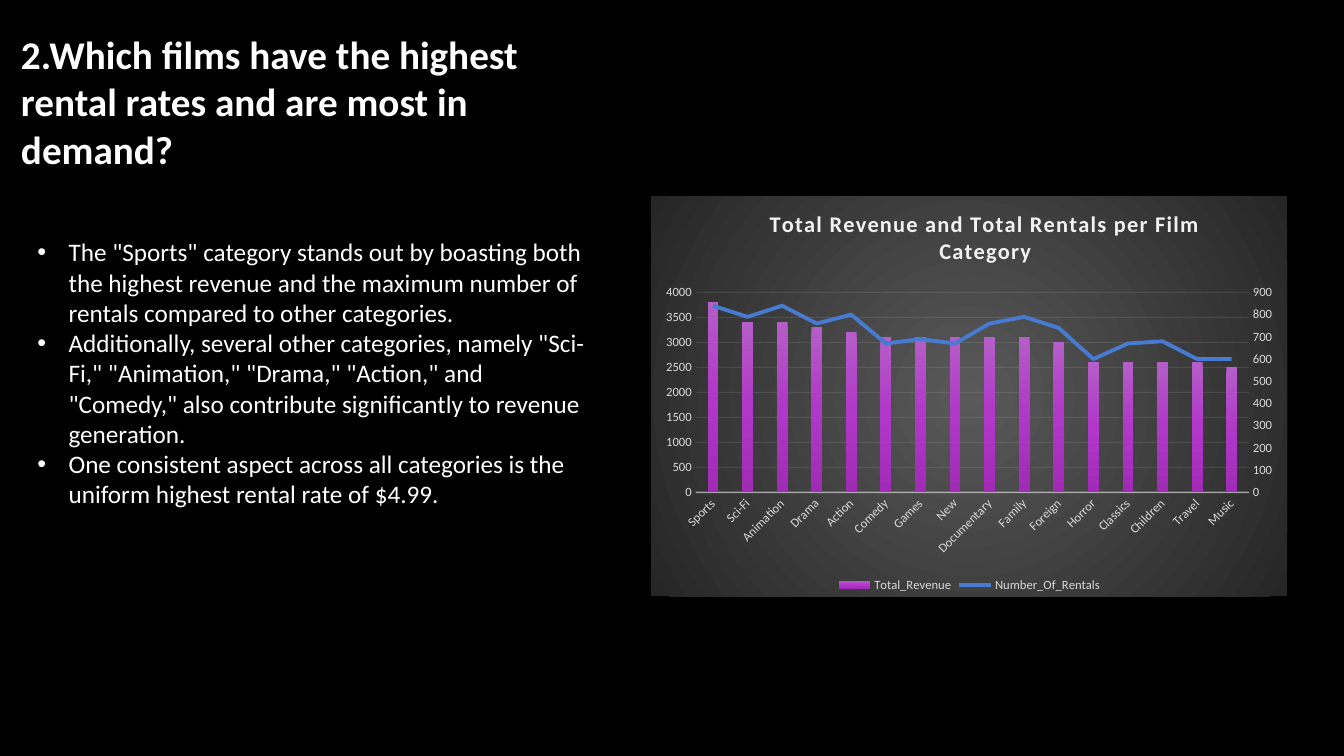
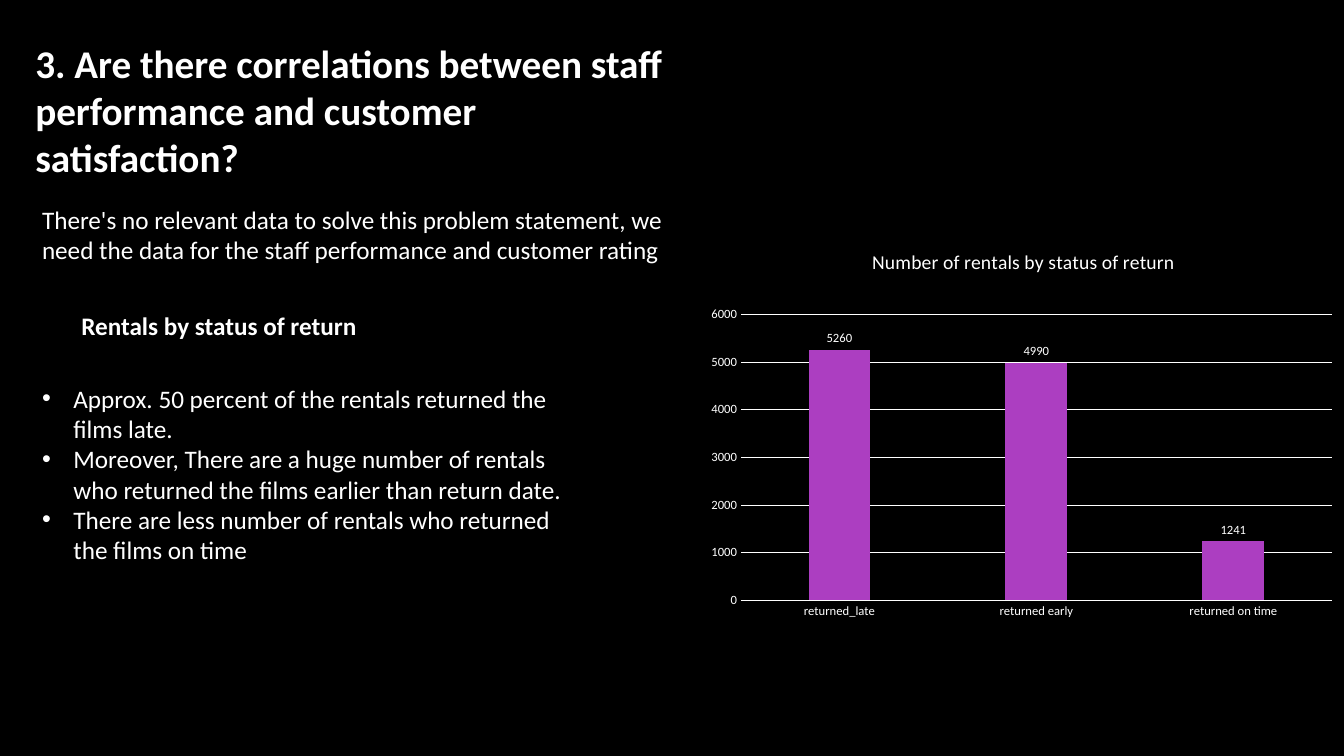
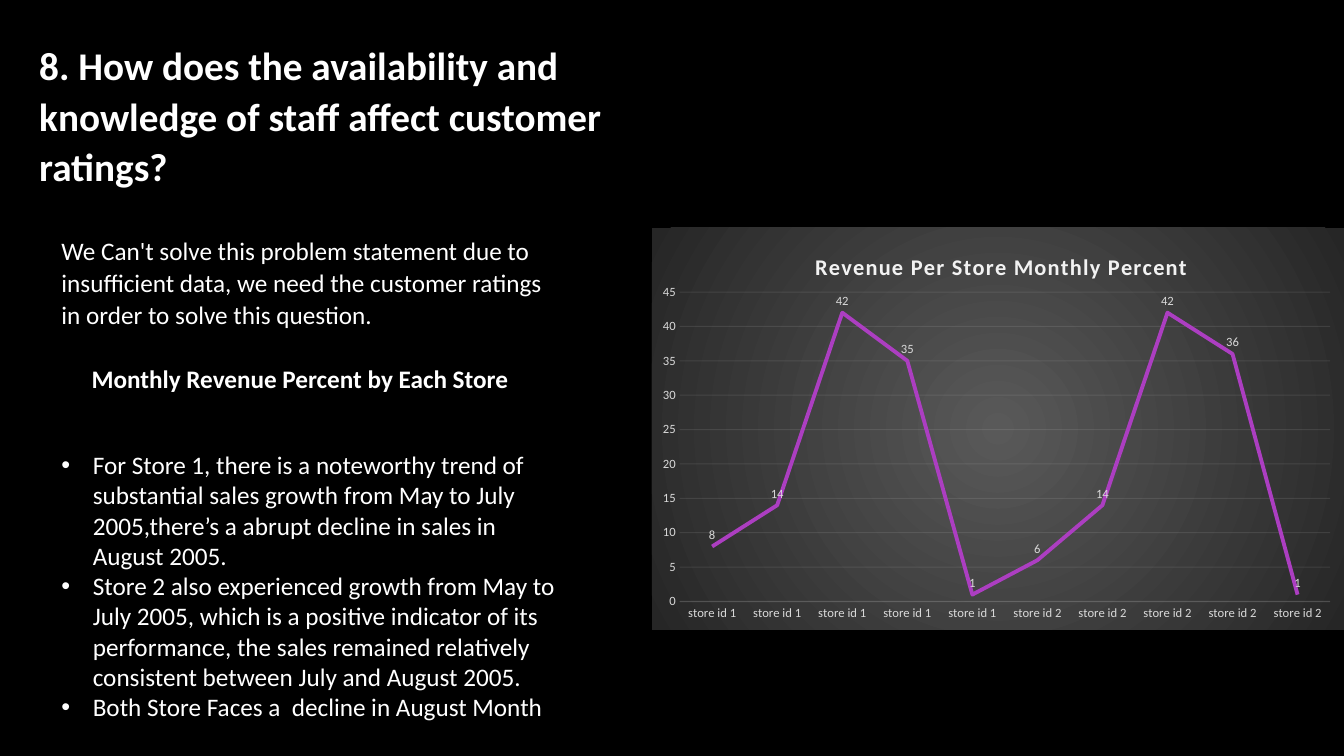
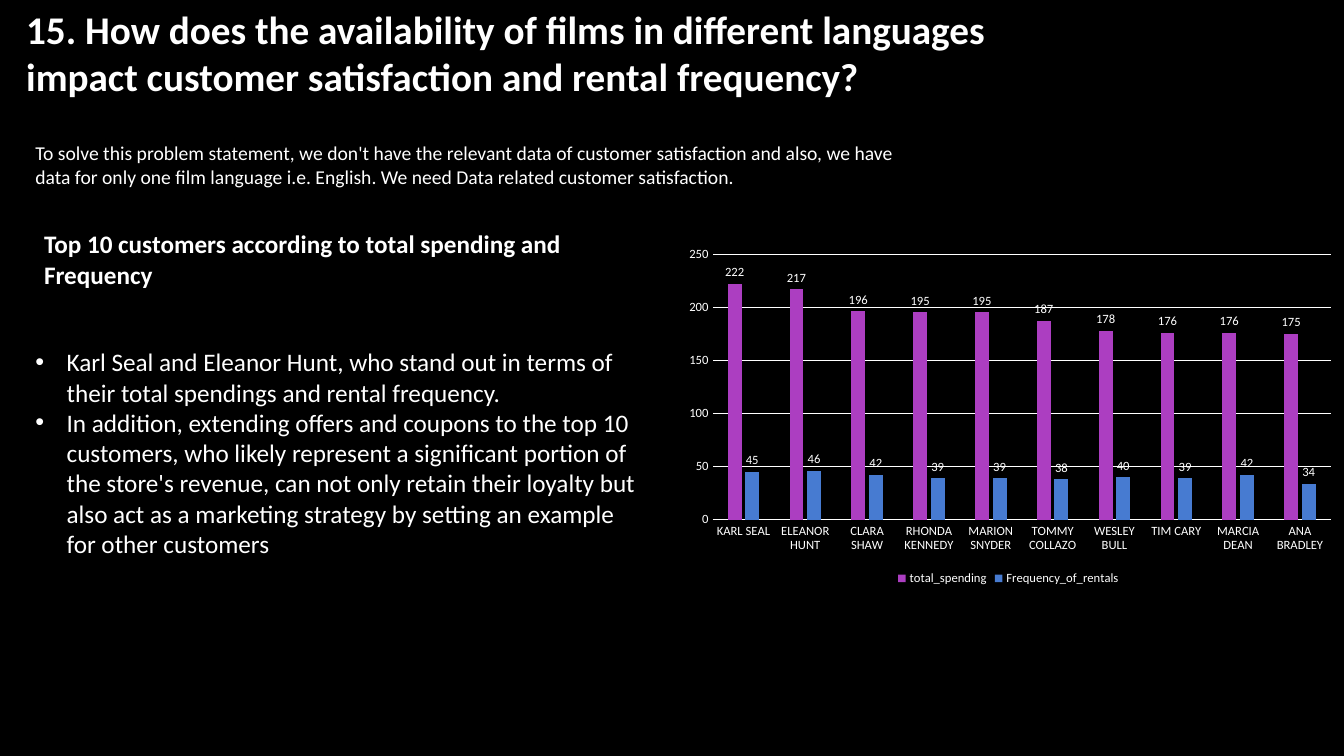
from copy import deepcopy
from dataclasses import dataclass

from lxml import etree
from pptx import Presentation
from pptx.chart.axis import CategoryAxis, ValueAxis
from pptx.chart.chart import Chart
from pptx.chart.data import CategoryChartData
from pptx.dml.color import RGBColor
from pptx.enum.chart import XL_CHART_TYPE, XL_LABEL_POSITION, XL_LEGEND_POSITION, XL_MARKER_STYLE, XL_TICK_MARK
from pptx.enum.text import MSO_AUTO_SIZE, PP_ALIGN
from pptx.oxml import parse_xml
from pptx.oxml.ns import nsdecls, qn
from pptx.slide import Slide
from pptx.util import Cm, Pt

FONT = "Calibri"
BLACK = "000000"
WHITE = "FFFFFF"
SOFT_WHITE = "F2F2F2"
PALE_GRAY = "D9D9D9"
PURPLE = "AC3EC1"
BLUE = "477BD1"
PURPLE_SHADES = [(0, "B55DC8"), (50, "B037C8"), (100, "A12BB7")]
GLOW_SHADES = [(0, "595959"), (100, "262626")]
LINEAR = '<a:lin ang="5400000" scaled="0"/>'
RADIAL = '<a:path path="circle"><a:fillToRect l="50000" t="50000" r="50000" b="50000"/></a:path>'


@dataclass(frozen=True)
class Frame:
    left: float
    top: float
    width: float
    height: float

    def lengths(self) -> tuple[Cm, Cm, Cm, Cm]:
        return Cm(self.left), Cm(self.top), Cm(self.width), Cm(self.height)


@dataclass(frozen=True)
class TextBlock:
    frame: Frame
    paragraphs: tuple[str, ...]
    size: int = 18
    bold: bool = False
    bulleted: bool = False
    centered: bool = False
    loose: bool = False


@dataclass(frozen=True)
class ChartBlock:
    frame: Frame
    plot: Frame
    categories: tuple[str, ...]
    series: dict[str, tuple[int, ...]]
    kind: XL_CHART_TYPE = XL_CHART_TYPE.COLUMN_CLUSTERED
    title: str = ""
    title_place: tuple[float, float] = (0, 0)
    glowing: bool = False
    labelled: bool = True
    slanted: bool = False
    legend: bool = False
    combined: bool = False
    axis_line: tuple[float, int] = (0.75, 100)


@dataclass(frozen=True)
class Page:
    texts: tuple[TextBlock, ...]
    chart: ChartBlock


def heading(frame: Frame, text: str, loose: bool = False) -> TextBlock:
    return TextBlock(frame, (text,), size=28, bold=True, loose=loose)


def color(value: str) -> RGBColor:
    return RGBColor.from_string(value)


def style_font(font, size: float, value: str, bold: bool = False) -> None:
    font.name = FONT
    font.size = Pt(size)
    font.bold = bold
    font.color.rgb = color(value)


def style_line(line, value: str, width: float, opacity: int = 100) -> None:
    line.color.rgb = color(value)
    line.width = Pt(width)
    if opacity < 100:
        shade = line.fill._xPr.find(".//" + qn("a:srgbClr"))
        etree.SubElement(shade, qn("a:alpha")).set("val", str(opacity * 1000))


def remove_children(parent, tag: str) -> None:
    for child in parent.findall(qn(tag)):
        parent.remove(child)


def gradient_properties(shades: list[tuple[int, str]], direction: str):
    stops = "".join(
        f'<a:gs pos="{place * 1000}"><a:srgbClr val="{value}"/></a:gs>' for place, value in shades
    )
    return parse_xml(
        f'<c:spPr {nsdecls("c", "a")}><a:gradFill rotWithShape="1"><a:gsLst>{stops}</a:gsLst>'
        f"{direction}</a:gradFill><a:ln><a:noFill/></a:ln></c:spPr>"
    )


def add_bullet(paragraph) -> None:
    properties = paragraph._p.get_or_add_pPr()
    properties.set("marL", str(Cm(0.79)))
    properties.set("indent", str(-Cm(0.79)))
    etree.SubElement(properties, qn("a:buFont")).set("typeface", "Arial")
    etree.SubElement(properties, qn("a:buChar")).set("char", "•")


def add_text(page: Slide, block: TextBlock) -> None:
    box = page.shapes.add_textbox(*block.frame.lengths())
    text_frame = box.text_frame
    text_frame.word_wrap = True
    text_frame.auto_size = MSO_AUTO_SIZE.SHAPE_TO_FIT_TEXT
    for index, text in enumerate(block.paragraphs):
        paragraph = text_frame.add_paragraph() if index else text_frame.paragraphs[0]
        paragraph.text = text
        if block.bulleted:
            add_bullet(paragraph)
        if block.centered:
            paragraph.alignment = PP_ALIGN.CENTER
        if block.loose:
            paragraph.line_spacing = 1.07
            paragraph.space_after = Pt(8)
        style_font(paragraph.font, block.size, WHITE, block.bold)


def manual_layout(left: float, top: float, size: tuple[float, ...] = ()):
    target = '<c:layoutTarget val="inner"/>' if size else ""
    extent = "".join(f'<c:{name} val="{value}"/>' for name, value in zip("wh", size))
    return parse_xml(
        f'<c:layout {nsdecls("c")}><c:manualLayout>{target}<c:xMode val="edge"/><c:yMode val="edge"/>'
        f'<c:x val="{left}"/><c:y val="{top}"/>{extent}</c:manualLayout></c:layout>'
    )


def place_plot(chart: Chart, plot: Frame) -> None:
    area = chart._chartSpace.chart.plotArea
    remove_children(area, "c:layout")
    area.insert(0, manual_layout(plot.left, plot.top, (plot.width, plot.height)))


def add_title(chart: Chart, block: ChartBlock) -> None:
    chart.has_title = bool(block.title)
    if not block.title:
        return
    title = chart.chart_title
    paragraph = title.text_frame.paragraphs[0]
    span = paragraph.add_run()
    span.text = block.title
    style_font(span.font, 16 if block.glowing else 14, SOFT_WHITE if block.glowing else WHITE, block.glowing)
    if block.glowing:
        span._r.get_or_add_rPr().set("spc", "100")
    remove_children(title._element, "c:layout")
    title._element.find(qn("c:tx")).addnext(manual_layout(*block.title_place))


def style_axis(axis: CategoryAxis | ValueAxis, ink: str, angle: int = 0) -> None:
    axis.major_tick_mark = axis.minor_tick_mark = XL_TICK_MARK.NONE
    style_font(axis.tick_labels.font, 9, ink)
    body = axis._element.find(qn("c:txPr")).find(qn("a:bodyPr"))
    body.set("rot", str(angle * 60000))
    body.set("vert", "horz")


def move_to_second_axis(chart: Chart, maximum: int) -> None:
    area = chart._chartSpace.chart.plotArea
    bars = area.find(qn("c:barChart"))
    series = bars.findall(qn("c:ser"))[1]
    remove_children(series, "c:invertIfNegative")
    line_chart = parse_xml(
        f'<c:lineChart {nsdecls("c")}><c:grouping val="standard"/><c:varyColors val="0"/>'
        '<c:marker val="1"/><c:axId val="5001"/><c:axId val="5002"/></c:lineChart>'
    )
    line_chart.insert(2, series)
    bars.addnext(line_chart)
    primary = area.find(qn("c:valAx"))
    right_axis = deepcopy(primary)
    remove_children(right_axis, "c:majorGridlines")
    hidden_axis = parse_xml(
        f'<c:catAx {nsdecls("c")}><c:axId val="5001"/><c:scaling><c:orientation val="minMax"/></c:scaling>'
        '<c:delete val="1"/><c:axPos val="b"/><c:crossAx val="5002"/><c:crosses val="autoZero"/></c:catAx>'
    )
    primary.addnext(right_axis)
    right_axis.addnext(hidden_axis)
    settings = {"axId": "5002", "axPos": "r", "crossAx": "5001", "crosses": "max"}
    for name, value in settings.items():
        right_axis.find(qn(f"c:{name}")).set("val", value)
    axis = ValueAxis(right_axis)
    axis.maximum_scale = maximum
    axis.major_unit = 100


def color_series(chart: Chart, block: ChartBlock) -> None:
    inks = iter((PURPLE, BLUE))
    for plot in chart.plots:
        plot.vary_by_categories = False
        for series in plot.series:
            ink = next(inks)
            if series._element.getparent().tag == qn("c:lineChart"):
                style_line(series.format.line, ink, 2.75)
                series.marker.style = XL_MARKER_STYLE.NONE
                series.smooth = False
            elif block.combined:
                series._element.find(qn("c:tx")).addnext(gradient_properties(PURPLE_SHADES, LINEAR))
            else:
                series.format.fill.solid()
                series.format.fill.fore_color.rgb = color(ink)


def add_chart(page: Slide, block: ChartBlock) -> None:
    data = CategoryChartData()
    data.categories = block.categories
    for name, values in block.series.items():
        data.add_series(name, values)
    chart = page.shapes.add_chart(block.kind, *block.frame.lengths(), data).chart
    ink = PALE_GRAY if block.glowing else WHITE
    style_font(chart.font, 10, WHITE)
    if block.glowing:
        text_properties = chart._chartSpace.find(qn("c:txPr"))
        text_properties.addprevious(gradient_properties(GLOW_SHADES, RADIAL))
    add_title(chart, block)
    place_plot(chart, block.plot)

    style_axis(chart.category_axis, ink, -45 if block.slanted else 0)
    rule_ink = SOFT_WHITE if block.glowing else WHITE
    style_line(chart.category_axis.format.line, rule_ink, *block.axis_line)
    style_axis(chart.value_axis, ink)
    chart.value_axis.minimum_scale = 0
    chart.value_axis.format.line.fill.background()
    chart.value_axis.has_major_gridlines = True
    style_line(chart.value_axis.major_gridlines.format.line, rule_ink, 0.75, 10 if block.glowing else 100)

    plot = chart.plots[0]
    columns = block.kind == XL_CHART_TYPE.COLUMN_CLUSTERED
    if columns:
        plot.gap_width = 219
        plot.overlap = -27
    if block.labelled:
        plot.has_data_labels = True
        labels = plot.data_labels
        labels.show_value = True
        labels.position = XL_LABEL_POSITION.OUTSIDE_END if columns else XL_LABEL_POSITION.ABOVE
        style_font(labels.font, 9, ink)
    if block.combined:
        chart.value_axis.maximum_scale = 4000
        chart.value_axis.major_unit = 500
        move_to_second_axis(chart, 900)
    color_series(chart, block)

    chart.has_legend = block.legend
    if block.legend:
        chart.legend.position = XL_LEGEND_POSITION.BOTTOM
        chart.legend.include_in_layout = False
        style_font(chart.legend.font, 9, ink)


PAGES = (
    Page(
        (
            heading(Frame(0.28, 0.65, 14.1, 4.62), "2.Which films have the highest rental rates and are most in demand?"),
            TextBlock(
                Frame(0.69, 5.84, 14.38, 7.19),
                (
                    'The "Sports" category stands out by boasting both the highest revenue and the maximum number of rentals compared to other categories.',
                    'Additionally, several other categories, namely "Sci-Fi," "Animation," "Drama," "Action," and "Comedy," also contribute significantly to revenue generation.',
                    "One consistent aspect across all categories is the uniform highest rental rate of $4.99.",
                ),
                bulleted=True,
            ),
        ),
        ChartBlock(
            Frame(16.41, 4.95, 16.03, 10.08),
            Frame(0.07, 0.24, 0.87, 0.5),
            (
                "Sports", "Sci-Fi", "Animation", "Drama", "Action", "Comedy", "Games", "New",
                "Documentary", "Family", "Foreign", "Horror", "Classics", "Children", "Travel", "Music",
            ),
            {
                "Total_Revenue": (3800, 3400, 3400, 3300, 3200, 3100, 3100, 3100, 3100, 3100, 3000, 2600, 2600, 2600, 2600, 2500),
                "Number_Of_Rentals": (840, 790, 840, 760, 800, 670, 690, 670, 760, 790, 740, 600, 670, 680, 600, 600),
            },
            title="Total Revenue and Total Rentals per Film Category",
            title_place=(0.18, 0.02),
            glowing=True,
            labelled=False,
            slanted=True,
            legend=True,
            combined=True,
            axis_line=(1, 54),
        ),
    ),
    Page(
        (
            heading(Frame(0.64, 0.86, 16.92, 4.62), "3. Are there correlations between staff performance and customer satisfaction?"),
            TextBlock(
                Frame(0.81, 5.03, 16.33, 1.8),
                ("There's no relevant data to solve this problem statement, we need the data for the staff performance and customer rating",),
            ),
            TextBlock(Frame(1.8, 7.7, 13.59, 1.02), ("Rentals by status of return",), bold=True),
            TextBlock(
                Frame(0.81, 9.53, 13.59, 5.64),
                (
                    "Approx. 50 percent of the rentals returned the films late.",
                    "Moreover, There are a huge number of rentals who returned the films earlier than return date.",
                    "There are less number of rentals who returned the films on time",
                ),
                bulleted=True,
            ),
        ),
        ChartBlock(
            Frame(17.15, 5.74, 16.92, 10.92),
            Frame(0.09, 0.2, 0.88, 0.66),
            ("returned_late", "returned early", "returned on time"),
            {"Series 1": (5260, 4990, 1241)},
            title="Number of rentals by status of return",
            title_place=(0.28, 0.04),
        ),
    ),
    Page(
        (
            heading(
                Frame(0.74, 0.84, 16.21, 4.04),
                "8. How does the availability and knowledge of staff affect customer ratings?",
                loose=True,
            ),
            TextBlock(
                Frame(1.3, 5.74, 13, 2.69),
                ("We Can't solve this problem statement due to insufficient data, we need the customer ratings in order to solve this question.",),
                loose=True,
            ),
            TextBlock(Frame(1.3, 9.02, 12.52, 1.02), ("Monthly Revenue Percent by Each Store",), bold=True, centered=True),
            TextBlock(
                Frame(1.3, 11.2, 13, 7.19),
                (
                    "For Store 1, there is a noteworthy trend of substantial sales growth from May to July 2005,there’s a abrupt decline in sales in August 2005.",
                    "Store 2 also experienced growth from May to July 2005, which is a positive indicator of its performance, the sales remained relatively consistent between July and August 2005.",
                    "Both Store Faces a  decline in August Month",
                ),
                bulleted=True,
            ),
        ),
        ChartBlock(
            Frame(16.43, 5.74, 17.44, 10.13),
            Frame(0.04, 0.16, 0.94, 0.77),
            ("store id 1",) * 5 + ("store id 2",) * 5,
            {"Series 1": (8, 14, 42, 35, 1, 6, 14, 42, 36, 1)},
            kind=XL_CHART_TYPE.LINE,
            title="Revenue Per Store Monthly Percent",
            title_place=(0.23, 0.05),
            glowing=True,
            axis_line=(0.75, 10),
        ),
    ),
    Page(
        (
            heading(
                Frame(0.41, 0, 25.32, 3.43),
                "15. How does the availability of films in different languages impact customer satisfaction and rental frequency?",
            ),
            TextBlock(
                Frame(0.64, 3.43, 22.63, 2.24),
                ("To solve this problem statement, we don't have the relevant data of customer satisfaction and also, we have data for only one film language i.e. English. We need Data related customer satisfaction.",),
                size=14,
            ),
            TextBlock(Frame(0.86, 5.64, 15.04, 1.8), ("Top 10 customers according to total spending and Frequency",), bold=True),
            TextBlock(
                Frame(0.64, 8.61, 15.62, 5.64),
                (
                    "Karl Seal and Eleanor Hunt, who stand out in terms of their total spendings and rental frequency.",
                    "In addition, extending offers and coupons to the top 10 customers, who likely represent a significant portion of the store's revenue, can not only retain their loyalty but also act as a marketing strategy by setting an example for other customers",
                ),
                bulleted=True,
            ),
        ),
        ChartBlock(
            Frame(16.94, 6.05, 16.94, 8.81),
            Frame(0.06, 0.04, 0.92, 0.76),
            (
                "KARL SEAL", "ELEANOR HUNT", "CLARA SHAW", "RHONDA KENNEDY", "MARION SNYDER",
                "TOMMY COLLAZO", "WESLEY BULL", "TIM CARY", "MARCIA DEAN", "ANA BRADLEY",
            ),
            {
                "total_spending": (222, 217, 196, 195, 195, 187, 178, 176, 176, 175),
                "Frequency_of_rentals": (45, 46, 42, 39, 39, 38, 40, 39, 42, 34),
            },
            legend=True,
        ),
    ),
)


def main() -> None:
    deck = Presentation()
    deck.slide_width, deck.slide_height = Cm(33.87), Cm(19.05)
    background = deck.slide_master.background.fill
    background.solid()
    background.fore_color.rgb = color(BLACK)
    for content in PAGES:
        page = deck.slides.add_slide(deck.slide_layouts[6])
        for block in content.texts:
            add_text(page, block)
        add_chart(page, content.chart)
    deck.save("out.pptx")


if __name__ == "__main__":
    main()
